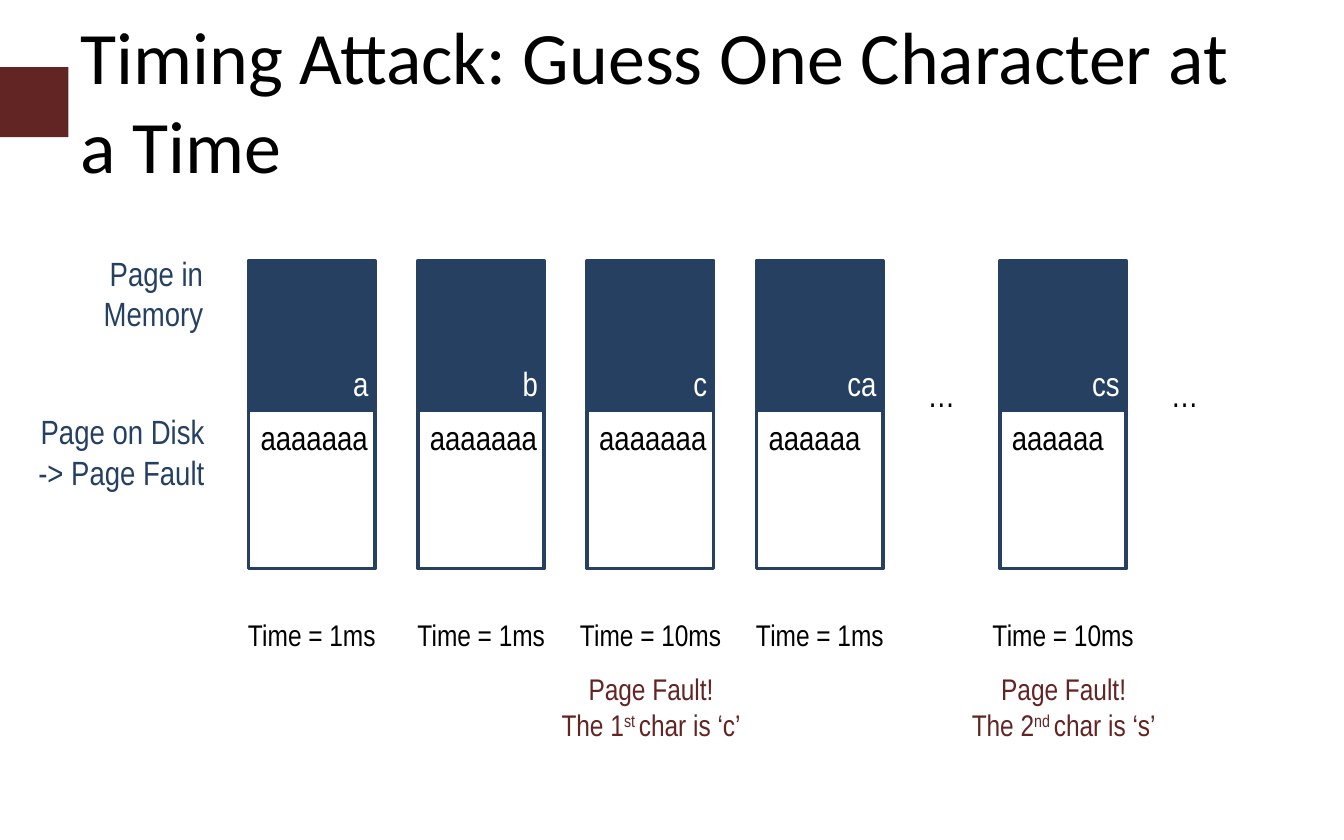
import pptx
import pptx.util
import pptx.dml.color
import pptx.enum.shapes
import pptx.enum.text

Inches = pptx.util.Inches
ALIGN = pptx.enum.text.PP_ALIGN
NAVY, MAROON, BLACK, WHITE = "254061", "632523", "000000", "FFFFFF"
COLUMN_STEP = 1.26
MEMORY_TOP, DISK_TOP = 1.94, 3.05


def color(hex_value):
    return pptx.dml.color.RGBColor.from_string(hex_value)


def add_rectangle(page, left, top, width, height, fill=None, line=None):
    box = page.shapes.add_shape(
        pptx.enum.shapes.MSO_SHAPE.RECTANGLE,
        Inches(left), Inches(top), Inches(width), Inches(height))
    box.shadow.inherit = False
    if fill:
        box.fill.solid()
        box.fill.fore_color.rgb = color(fill)
    else:
        box.fill.background()
    if line:
        box.line.color.rgb = color(line)
        box.line.width = pptx.util.Pt(2)
    else:
        box.line.fill.background()


def format_span(span, size, ink, font):
    span.font.size = pptx.util.Pt(size)
    span.font.name = font
    span.font.color.rgb = color(ink)


def add_text(page, text, left, top, width, height, size=18, ink=BLACK,
             align=ALIGN.LEFT, font="Arial Narrow", grow=True):
    box = page.shapes.add_textbox(
        Inches(left), Inches(top), Inches(width), Inches(height))
    frame = box.text_frame
    frame.word_wrap = True
    if grow:
        frame.auto_size = pptx.enum.text.MSO_AUTO_SIZE.SHAPE_TO_FIT_TEXT
    frame.text = text
    for para in frame.paragraphs:
        para.alignment = align
        for span in para.runs:
            format_span(span, size, ink, font)
    return frame


def add_title(page, text):
    frame = add_text(page, text, 0.5, 0.25, 9, 0.98, size=39.6,
                     font="Calibri", grow=False)
    frame.vertical_anchor = pptx.enum.text.MSO_ANCHOR.MIDDLE


def add_guess(page, left, guess, rest, time):
    """Two memory pages holding one guess, with its timing below."""
    add_rectangle(page, left, MEMORY_TOP, 0.94, 1.1, NAVY, NAVY)
    add_rectangle(page, left, DISK_TOP, 0.94, 1.18, line=NAVY)
    add_text(page, guess, left + 0.27, 2.65, 0.72, 0.4,
             ink=WHITE, align=ALIGN.RIGHT)
    add_text(page, rest, left - 0.01, DISK_TOP, 1.02, 0.4)
    add_text(page, f"Time = {time}", left - 0.24, 4.54, 1.42, 0.37,
             size=16, align=ALIGN.CENTER)


def add_finding(page, left, number, ordinal, letter):
    frame = add_text(page, f"Page Fault!\nThe {number}", left - 0.39, 4.94,
                     1.73, 0.64, size=16, ink=MAROON, align=ALIGN.CENTER)
    para = frame.paragraphs[1]
    for text, baseline in ((f"{ordinal} ", "30000"),
                           (f"char is ‘{letter}’", "0")):
        span = para.add_run()
        span.text = text
        format_span(span, 16, MAROON, "Arial Narrow")
        span.font._element.set("baseline", baseline)


def main():
    deck = pptx.Presentation()
    deck.slide_width, deck.slide_height = Inches(10), Inches(6.25)
    page = deck.slides.add_slide(deck.slide_layouts[6])

    # Title with its side marker
    add_rectangle(page, -0.06, 0.5, 0.57, 0.52, MAROON)
    add_title(page, "Timing Attack: Guess One Character at a Time")

    # Row labels
    add_text(page, "Page in Memory", 0.35, 1.83, 1.26, 0.71,
             ink=NAVY, align=ALIGN.RIGHT)
    add_text(page, "Page on Disk -> Page Fault", 0.12, 3.01, 1.5, 0.71,
             ink=NAVY, align=ALIGN.RIGHT)

    # Guesses: four evenly spaced, the last one after a gap
    columns = [1.85 + COLUMN_STEP * i for i in range(4)] + [7.44]
    guesses = [("a", "aaaaaaa", "1ms"), ("b", "aaaaaaa", "1ms"),
               ("c", "aaaaaaa", "10ms"), ("ca", "aaaaaa", "1ms"),
               ("cs", "aaaaaa", "10ms")]
    for left, guess in zip(columns, guesses):
        add_guess(page, left, *guess)

    # What each page fault reveals
    add_finding(page, columns[2], 1, "st", "c")
    add_finding(page, columns[4], 2, "nd", "s")

    # Omitted guesses
    for left in columns[3:]:
        add_text(page, "…", left + 0.94, 2.73, 0.87, 0.4, align=ALIGN.CENTER)

    deck.save("out.pptx")


if __name__ == "__main__":
    main()
